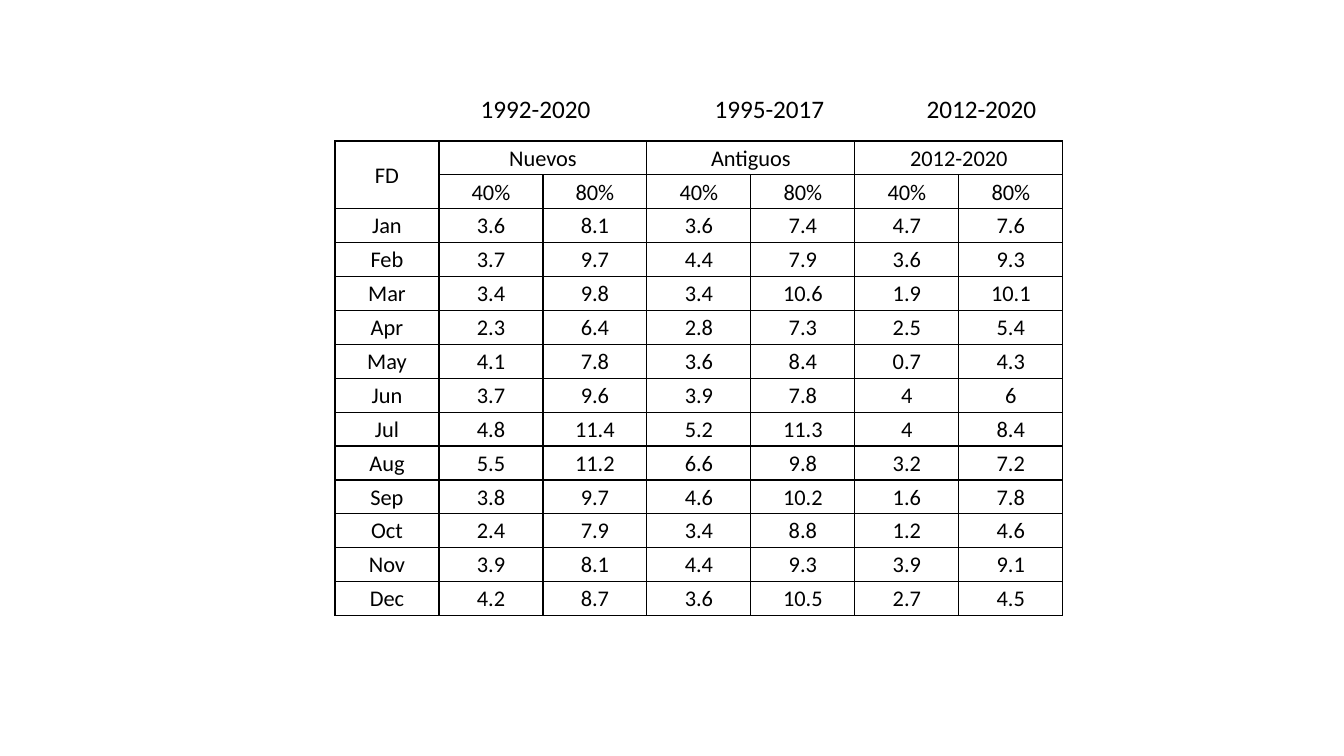
"""Build a slide with a monthly table of 40% and 80% values for three periods."""
from lxml import etree
from pptx import Presentation
from pptx.dml.color import RGBColor
from pptx.enum.text import MSO_ANCHOR, MSO_AUTO_SIZE, PP_ALIGN
from pptx.oxml.ns import qn
from pptx.util import Emu, Pt

MID = MSO_ANCHOR.MIDDLE
GROW = MSO_AUTO_SIZE.SHAPE_TO_FIT_TEXT
CENTER = PP_ALIGN.CENTER
BLACK = "000000"


def px(count):
    return Emu(round(count * 12192000 / 1344))


def style(para, size, color=BLACK):
    para.alignment = CENTER
    para.font.name = "Calibri"
    para.font.size = Pt(size)
    para.font.color.rgb = RGBColor.from_string(color)


rows = [
    ["FD", "Nuevos", "", "Antiguos", "", "2012-2020", ""],
    ["", "40%", "80%", "40%", "80%", "40%", "80%"],
    ["Jan", "3.6", "8.1", "3.6", "7.4", "4.7", "7.6"],
    ["Feb", "3.7", "9.7", "4.4", "7.9", "3.6", "9.3"],
    ["Mar", "3.4", "9.8", "3.4", "10.6", "1.9", "10.1"],
    ["Apr", "2.3", "6.4", "2.8", "7.3", "2.5", "5.4"],
    ["May", "4.1", "7.8", "3.6", "8.4", "0.7", "4.3"],
    ["Jun", "3.7", "9.6", "3.9", "7.8", "4", "6"],
    ["Jul", "4.8", "11.4", "5.2", "11.3", "4", "8.4"],
    ["Aug", "5.5", "11.2", "6.6", "9.8", "3.2", "7.2"],
    ["Sep", "3.8", "9.7", "4.6", "10.2", "1.6", "7.8"],
    ["Oct", "2.4", "7.9", "3.4", "8.8", "1.2", "4.6"],
    ["Nov", "3.9", "8.1", "4.4", "9.3", "3.9", "9.1"],
    ["Dec", "4.2", "8.7", "3.6", "10.5", "2.7", "4.5"],
]

deck = Presentation()
deck.slide_width, deck.slide_height = px(1344), px(756)
slide = deck.slides.add_slide(deck.slide_layouts[6])

table = slide.shapes.add_table(
    len(rows), len(rows[0]), px(335), px(141), px(728), px(475)).table
table.first_row = False
table.horz_banding = False

for r, row in enumerate(rows):
    for c, text in enumerate(row):
        cell = table.cell(r, c)
        cell.text = text
        cell.vertical_anchor = MID
        cell.margin_left = cell.margin_right = cell.margin_top = px(1)
        cell.margin_bottom = 0
        style(cell.text_frame.paragraphs[0], 16)
        props = cell._tc.get_or_add_tcPr()
        for side in ("lnL", "lnR", "lnT", "lnB"):
            line = etree.SubElement(props, qn(f"a:{side}"), w=str(Pt(1)))
            fill = etree.SubElement(line, qn("a:solidFill"))
            etree.SubElement(fill, qn("a:srgbClr"), val=BLACK)
        cell.fill.background()

table.cell(0, 0).merge(table.cell(1, 0))
for c in (1, 3, 5):
    table.cell(0, c).merge(table.cell(0, c + 1))

for left, span in ((443, "1992-2020"), (677, "1995-2017"), (889, "2012-2020")):
    box = slide.shapes.add_textbox(px(left), px(88), px(185), px(40))
    frame = box.text_frame
    frame.word_wrap = True
    frame.auto_size = GROW
    frame.text = span
    style(frame.paragraphs[0], 18)

deck.save("out.pptx")
